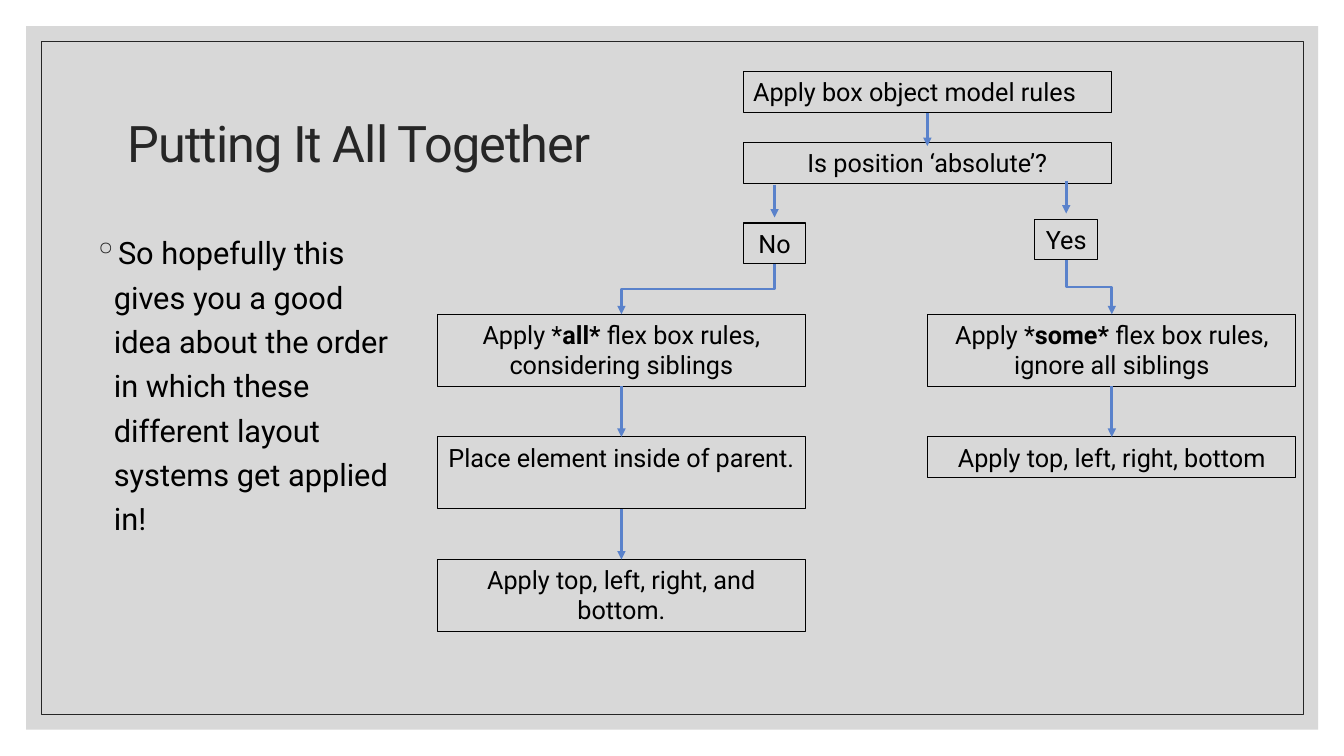
from lxml import etree
from pptx import Presentation
from pptx import util as u
from pptx.dml import color
from pptx.enum import shapes, text
from pptx.oxml import ns

FONT = "Roboto"
INK = "262626"
BLACK = "000000"
ARROW = "5A82CB"
LINE_HEIGHT = 1.03
TWO_LINES = 1.81
BOX_WIDTH = 9.28
ANSWER_WIDTH = 1.58


def paint(target, value):
    """Give a fill, line or font format a solid hex colour."""
    if hasattr(target, "solid"):
        target.solid()
        target = target.fore_color
    else:
        target = target.color
    target.rgb = color.RGBColor.from_string(value)


def add_child(parent, tag, **attributes):
    """Append a drawing element with the given attributes."""
    child = etree.SubElement(parent, ns.qn(tag))
    for name, value in attributes.items():
        child.set(name, value)
    return child


def add_span(para, words, size, value, bold=False):
    """Add one formatted run to a paragraph."""
    span = para.add_run()
    span.text = words
    span.font.name = FONT
    span.font.size = u.Pt(size)
    span.font.bold = bold
    paint(span.font.fill, value)
    return span


def add_text_box(page, left, top, width, height):
    """Add a wrapping text box and return it with its first paragraph."""
    box = page.shapes.add_textbox(u.Cm(left), u.Cm(top), u.Cm(width), u.Cm(height))
    box.text_frame.word_wrap = True
    return box, box.text_frame.paragraphs[0]


def add_panel(page, left, top, width, height):
    """Draw the translucent grey panel and its thin inner frame."""
    inset = 0.38
    places = [(left, top, width, height),
              (left + inset, top + inset, width - 2 * inset, height - 2 * inset)]
    panel, frame = [
        page.shapes.add_shape(shapes.MSO_SHAPE.RECTANGLE, *map(u.Cm, place))
        for place in places
    ]
    for shape in (panel, frame):
        shape.shadow.inherit = False
    paint(panel.fill, "BFBFBF")
    add_child(panel.fill.fore_color._xFill[0], "a:alpha", val="60000")
    panel.line.fill.background()
    frame.fill.background()
    paint(frame.line, INK)
    frame.line.width = u.Pt(0.5)


def add_title(page, left, top, width, height):
    """Write the slide title, centred vertically in its box."""
    box, para = add_text_box(page, left, top, width, height)
    box.text_frame.vertical_anchor = text.MSO_ANCHOR.MIDDLE
    para.line_spacing = 0.9
    span = add_span(para, "Putting It All Together", 36, INK)
    span.font._element.set("spc", "-70")


def add_body(page, left, top, width, height):
    """Write the bulleted summary."""
    box, para = add_text_box(page, left, top, width, height)
    para.line_spacing = 1.2
    properties = para._p.get_or_add_pPr()
    properties.set("marL", str(u.Cm(0.51)))
    properties.set("indent", str(-u.Cm(0.51)))
    bullet_color = add_child(properties, "a:buClr")
    add_child(bullet_color, "a:srgbClr", val=INK)
    add_child(properties, "a:buChar", char="◦")
    add_span(para, "So hopefully this gives you a good idea about the order in which "
             "these different layout systems get applied in!", 22, BLACK)


def add_step(page, left, top, width, height, parts, align=text.PP_ALIGN.CENTER):
    """Draw an outlined step; every second part of its text is bold."""
    box, para = add_text_box(page, left, top, width, height)
    paint(box.line, BLACK)
    box.line.width = u.Pt(0.75)
    para.alignment = align
    for index, words in enumerate(parts):
        add_span(para, words, 18, BLACK, bold=index % 2 == 1)


def add_arrow(page, x1, y1, x2, y2):
    """Draw a downward arrow, with an elbow when its ends are not aligned."""
    across, down = abs(x2 - x1), y2 - y1
    kind, turn = shapes.MSO_CONNECTOR.STRAIGHT, 0
    ends = [x1, y1, x2, y2]
    if across > 0.01:
        kind = shapes.MSO_CONNECTOR.ELBOW
        middle_x, middle_y = (x1 + x2) / 2, (y1 + y2) / 2
        near, far = middle_x - down / 2, middle_x + down / 2
        turn = 90
        if x2 > x1:
            near, far, turn = far, near, 270
        ends = [near, middle_y - across / 2, far, middle_y + across / 2]
    arrow = page.shapes.add_connector(kind, *map(u.Cm, ends))
    properties = arrow._element.spPr
    if turn:
        properties.find(ns.qn("a:xfrm")).set("rot", str(turn * 60000))
    paint(arrow.line, ARROW)
    arrow.line.width = u.Pt(2)
    add_child(arrow.line._get_or_add_ln(), "a:tailEnd", type="triangle")
    add_child(properties, "a:effectLst")


def add_branch(page, left, top, answer, answer_left, answer_top, steps):
    """Draw one answer and the column of steps that follows from it."""
    answer_x = answer_left + ANSWER_WIDTH / 2
    column_x = left + BOX_WIDTH / 2
    add_step(page, answer_left, answer_top, ANSWER_WIDTH, LINE_HEIGHT, [answer])
    add_arrow(page, answer_x, answer_top - 0.97, answer_x, answer_top - 0.14)
    start_x, start_y = answer_x, answer_top + LINE_HEIGHT
    for index, (height, parts) in enumerate(steps):
        step_top = top + index * 3.09
        add_step(page, left, step_top, BOX_WIDTH, height, parts)
        add_arrow(page, start_x, start_y, column_x, step_top)
        start_x, start_y = column_x, step_top + height


def add_flow(page, left, top, width):
    """Draw the decision flow with its No and Yes branches."""
    head_left = left + 7.71
    head_x = head_left + BOX_WIDTH / 2
    add_step(page, head_left, top, BOX_WIDTH, LINE_HEIGHT,
             ["Apply box object model rules"], text.PP_ALIGN.LEFT)
    add_step(page, head_left, top + 1.79, BOX_WIDTH, LINE_HEIGHT,
             ["Is position ‘absolute’?"])
    add_arrow(page, head_x, top + LINE_HEIGHT, head_x, top + 1.87)
    add_branch(page, left, top + 6.11, "No", head_left, top + 3.81, [
        (TWO_LINES, ["Apply *", "all*", " flex box rules, considering siblings"]),
        (TWO_LINES, ["Place element inside of parent."]),
        (TWO_LINES, ["Apply top, left, right, and bottom."]),
    ])
    add_branch(page, left + width - BOX_WIDTH, top + 6.11, "Yes",
               left + 15.06, top + 3.71, [
        (TWO_LINES, ["Apply *", "some*", " flex box rules, ignore all siblings"]),
        (LINE_HEIGHT, ["Apply top, left, right, bottom"]),
    ])


def main():
    """Build and save the slide."""
    deck = Presentation()
    deck.slide_width, deck.slide_height = u.Cm(33.87), u.Cm(19.05)
    page = deck.slides.add_slide(deck.slide_layouts[6])
    add_panel(page, 0.66, 0.66, 32.56, 17.73)
    add_title(page, 2.97, 1.78, 27.94, 3.81)
    add_body(page, 2.11, 5.59, 8.31, 12.55)
    add_flow(page, 11.02, 1.81, 21.64)
    deck.save("out.pptx")


if __name__ == "__main__":
    main()
